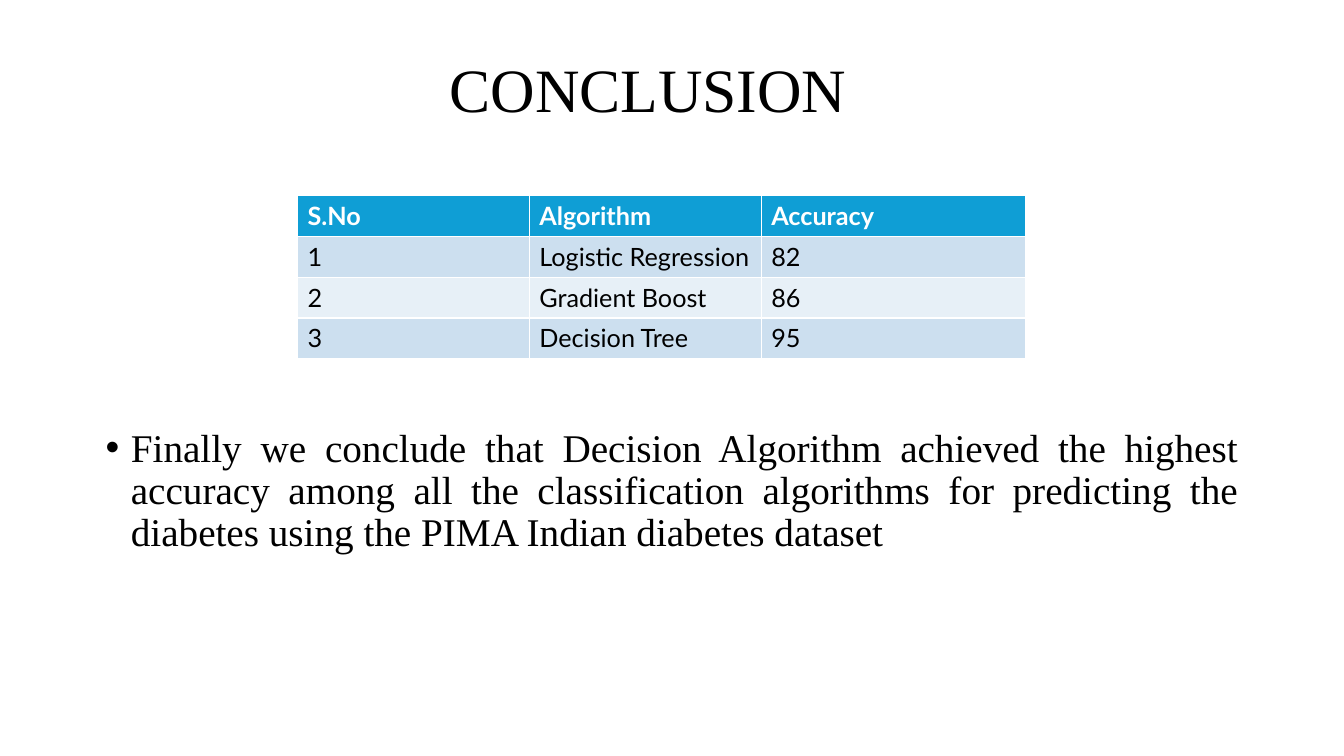
"""Build the conclusion slide with its accuracy table."""
from pptx import Presentation
from pptx.dml.color import RGBColor
from pptx.enum import text
from pptx.oxml import parse_xml
from pptx.oxml.ns import nsdecls
from pptx.util import Inches, Pt

BLACK = RGBColor(0x00, 0x00, 0x00)
WHITE = RGBColor(0xFF, 0xFF, 0xFF)
HEADER_BLUE = RGBColor(0x0F, 0x9E, 0xD5)
BAND_DARK = RGBColor(0xCC, 0xDF, 0xEF)
BAND_LIGHT = RGBColor(0xE7, 0xF0, 0xF7)
SERIF = "Times New Roman"
SANS = "Lato"

COLUMN_WIDTHS = (2.3, 2.3, 2.62)
ROW_HEIGHT = 0.405
RESULTS = (
    ("S.No", "Algorithm", "Accuracy"),
    ("1", "Logistic Regression", "82"),
    ("2", "Gradient Boost", "86"),
    ("3", "Decision Tree", "95"),
)
FINDING = (
    "Finally we conclude that Decision Algorithm achieved the highest accuracy "
    "among all the classification algorithms for predicting the diabetes using "
    "the PIMA Indian diabetes dataset"
)


def style_font(para, name, size, color, bold=False):
    """Set the font of a whole paragraph."""
    font = para.font
    font.name, font.size, font.bold = name, Pt(size), bold
    font.color.rgb = color


def set_title(page, wording):
    """Place and format the title placeholder."""
    title = page.shapes.title
    title.left, title.top = Inches(0.68), Inches(0.53)
    title.width, title.height = Inches(11.5), Inches(0.77)
    frame = title.text_frame
    frame.text = wording
    frame.auto_size = text.MSO_AUTO_SIZE.NONE
    frame.vertical_anchor = text.MSO_ANCHOR.MIDDLE
    para = frame.paragraphs[0]
    para.alignment = text.PP_ALIGN.CENTER
    para.line_spacing = 0.9
    style_font(para, SERIF, 44, BLACK)


def add_results(page):
    """Add the banded table of algorithms and accuracies."""
    frame = page.shapes.add_table(
        len(RESULTS), len(COLUMN_WIDTHS), Inches(2.95), Inches(1.94),
        Inches(sum(COLUMN_WIDTHS)), Inches(ROW_HEIGHT * len(RESULTS)))
    table = frame.table
    for column, width in zip(table.columns, COLUMN_WIDTHS):
        column.width = Inches(width)
    for row_index, values in enumerate(RESULTS):
        header = row_index == 0
        band = BAND_DARK if row_index % 2 else BAND_LIGHT
        for column_index, value in enumerate(values):
            cell = table.cell(row_index, column_index)
            cell.text = value
            cell.fill.solid()
            cell.fill.fore_color.rgb = HEADER_BLUE if header else band
            style_font(cell.text_frame.paragraphs[0], SANS, 18,
                       WHITE if header else BLACK, header)


def add_bullet(page, wording):
    """Add a justified paragraph with a hanging bullet."""
    box = page.shapes.add_textbox(
        Inches(0.95), Inches(4.2), Inches(11.43), Inches(1.75))
    frame = box.text_frame
    frame.word_wrap = True
    para = frame.paragraphs[0]
    para.text = wording
    para.alignment = text.PP_ALIGN.JUSTIFY
    para.line_spacing = 0.9
    para.space_before = Pt(10)
    style_font(para, SERIF, 28, BLACK)
    properties = para._p.get_or_add_pPr()
    properties.set("marL", str(Inches(0.25)))
    properties.set("indent", str(Inches(-0.25)))
    marks = (f'<a:buFont {nsdecls("a")} typeface="Arial"/>',
             f'<a:buChar {nsdecls("a")} char="•"/>')
    for mark in marks:
        properties.insert_element_before(
            parse_xml(mark), "a:tabLst", "a:defRPr", "a:extLst")


def main():
    """Build and save the deck."""
    deck = Presentation()
    deck.slide_width, deck.slide_height = Inches(13.33), Inches(7.5)
    page = deck.slides.add_slide(deck.slide_layouts.get_by_name("Title Only"))
    set_title(page, "CONCLUSION")
    add_bullet(page, FINDING)
    add_results(page)
    deck.save("out.pptx")


if __name__ == "__main__":
    main()
